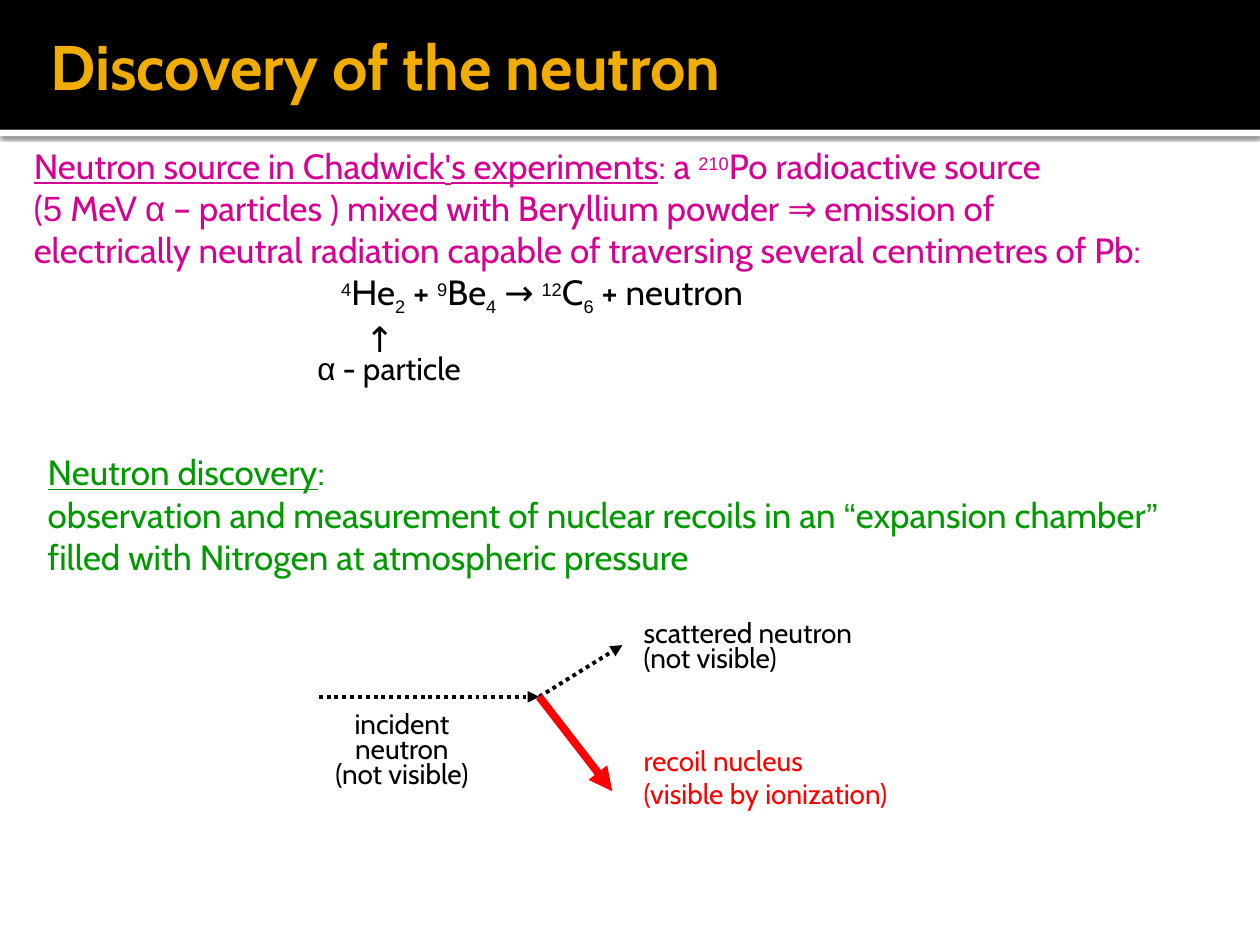
from lxml import etree
from pptx import Presentation
from pptx import util as u
from pptx.dml.color import RGBColor
from pptx.enum import dml, shapes, text
from pptx.oxml import ns

HEX = {"gold": "F0AD00", "pink": "D60093", "green": "009900",
       "red": "FF0000", "black": "000000", "white": "FFFFFF"}
BASE = {"^": "30000", "_": "-25000"}


def tint(name):
    return RGBColor.from_string(HEX[name])


def child(node, tag, **attrs):
    return etree.SubElement(node, ns.qn(tag), attrs)


def add_bar(group, top, height, color):
    bar = group.add_shape(shapes.MSO_SHAPE.RECTANGLE, 0, u.Inches(top),
                          u.Inches(10), u.Inches(height))
    bar.shadow.inherit = False
    bar.fill.solid()
    bar.fill.fore_color.rgb = tint(color)
    bar.line.fill.background()
    return bar


def cast_shadow(bar):
    effects = bar._element.spPr.find(ns.qn("a:effectLst"))
    outer = child(effects, "a:outerShdw", blurRad=str(u.Pt(2.5)),
                  dist=str(u.Pt(0.8)), dir="5400000", algn="t", rotWithShape="0")
    color = child(outer, "a:srgbClr", val=HEX["black"])
    child(color, "a:alpha", val="60000")


def add_run(para, words, marks, size, color, bold):
    """Marks: a = Arial, u = underline, ^ = superscript, _ = subscript."""
    run = para.add_run()
    run.text = words
    font = run.font
    shift = marks if marks in BASE else ""
    font.size = u.Pt(18 if shift else size)
    font.name = "Arial" if shift or "a" in marks else "Cabin"
    font.color.rgb = tint(color)
    font.bold = bold
    if "u" in marks:
        font.underline = True
    if shift:
        run._r.get_or_add_rPr().set("baseline", BASE[shift])


def add_text(group, at, lines, size, color, wrap=True, bold=False,
             align=None, space=None, anchor=text.MSO_ANCHOR.TOP):
    """Each line is a list of (words, marks) runs or one plain string."""
    box = group.add_textbox(*map(u.Inches, at))
    frame = box.text_frame
    frame.word_wrap = wrap
    frame.vertical_anchor = anchor
    for i, line in enumerate(lines):
        para = frame.add_paragraph() if i else frame.paragraphs[0]
        para.alignment = align
        para.line_spacing = space
        runs = [(line, "")] if isinstance(line, str) else line
        for words, marks in runs:
            add_run(para, words, marks, size, color, bold)
    return frame


def add_arrow(group, start, end, color, width, dash=None):
    arrow = group.add_connector(shapes.MSO_CONNECTOR.STRAIGHT,
                                *map(u.Inches, start + end))
    arrow.line.color.rgb = tint(color)
    arrow.line.width = u.Pt(width)
    if dash:
        arrow.line.dash_style = dash
    child(arrow.line._get_or_add_ln(), "a:tailEnd", type="triangle")
    child(arrow._element.spPr, "a:effectLst")


def add_source(group):
    intro = [
        [("Neutron source in Chadwick", "u"), ("'", "ua"),
         ("s experiments", "u"), (": a ", ""), ("210", "^"),
         ("Po radioactive source", "")],
        [("(", ""), ("5", "a"), (" MeV ", ""), ("α", "a"),
         (" – particles ) mixed with Beryllium powder ⇒ emission of", "")],
        "electrically neutral radiation capable of traversing several "
        "centimetres of Pb:",
    ]
    formula = [("4", "^"), ("He", ""), ("2", "_"), (" + ", ""), ("9", "^"),
               ("Be", ""), ("4", "_"), (" → ", ""), ("12", "^"), ("C", ""),
               ("6", "_"), (" + neutron", "")]
    frame = add_text(group, (0.17, 1.1, 9.7, 2.04), intro, 20, "pink")
    particle = [("α", "a"), (" - particle", "")]
    for runs, indent, size, space in ((formula, 2.44, 20, None),
                                      ([("↑", "")], 2.63, 20, None),
                                      (particle, 2.25, 18, 0.7)):
        para = frame.add_paragraph()
        para.line_spacing = space
        para._p.get_or_add_pPr().set("marL", str(u.Inches(indent)))
        for words, marks in runs:
            add_run(para, words, marks, size, "black", False)


def add_recoil(group):
    hit = (4.28, 5.53)
    dots = dml.MSO_LINE.ROUND_DOT
    add_arrow(group, (2.53, 5.53), hit, "black", 2.25, dots)
    add_arrow(group, hit, (4.94, 5.12), "black", 2.25, dots)
    add_arrow(group, hit, (4.86, 6.28), "red", 4.5)
    add_text(group, (2.53, 5.62, 1.32, 0.7),
             ["incident", "neutron", "(not visible)"], 16, "black",
             wrap=False, align=text.PP_ALIGN.CENTER, space=0.75)
    add_text(group, (5.01, 4.9, 1.88, 0.5),
             ["scattered neutron", "(not visible)"], 16, "black",
             wrap=False, space=0.75)
    add_text(group, (5.01, 5.85, 2.24, 0.64),
             ["recoil nucleus", "(visible by ionization)"], 16, "red",
             wrap=False)


def main():
    deck = Presentation()
    deck.slide_width, deck.slide_height = u.Inches(10), u.Inches(7.5)
    slide = deck.slides.add_slide(deck.slide_layouts[6])
    items = slide.shapes
    cast_shadow(add_bar(items, 1.03, 0.05, "white"))
    add_bar(items, 0, 1.03, "black")
    add_text(items, (0.3, 0, 9.48, 1.03), ["Discovery of the neutron"], 36,
             "gold", bold=True, anchor=text.MSO_ANCHOR.MIDDLE)
    add_source(items)
    add_text(items, (0.28, 3.53, 9.59, 1.11),
             [[("Neutron discovery", "u"), (":", "")],
              [("observation and measurement of nuclear recoils in an ", ""),
               ("“", "a"), ("expansion chamber", ""), ("”", "a")],
              "filled with Nitrogen at atmospheric pressure"], 20, "green")
    add_recoil(items.add_group_shape().shapes)
    deck.save("out.pptx")


if __name__ == "__main__":
    main()
